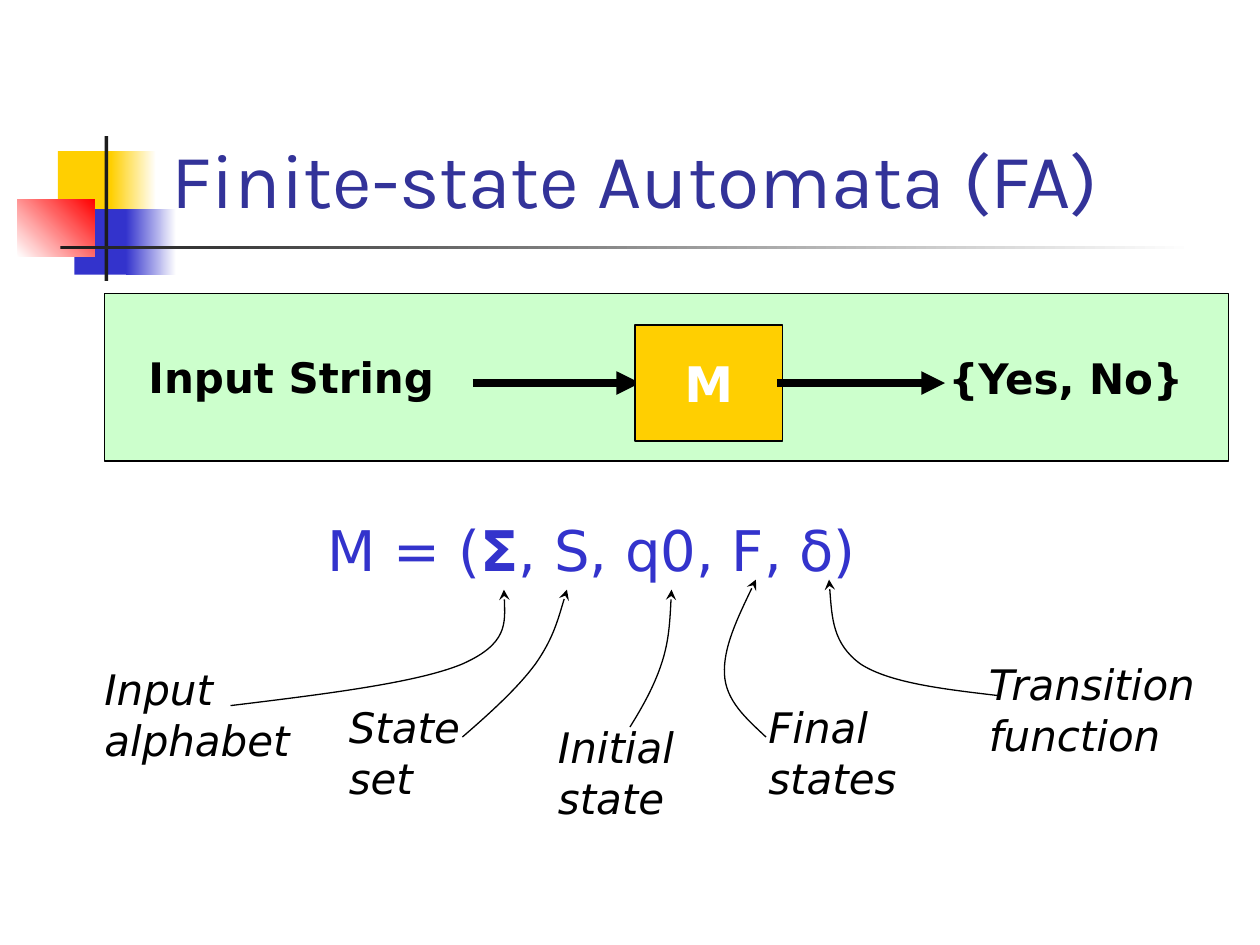
import pptx
import pptx.dml.color
import pptx.enum.shapes
import pptx.enum.text
import pptx.oxml
import pptx.oxml.ns
import pptx.util
from lxml import etree

PX = 9144  # EMU per px, 100 px to the inch
COLORS = {
    "yellow": "FFCF01", "blue": "3333CC", "red": "FF0000", "white": "FFFFFF",
    "dark": "1C1C1C", "title": "333399", "green": "CCFFCC", "black": "000000",
}
ANCHOR = pptx.enum.text.MSO_ANCHOR
ALIGN = pptx.enum.text.PP_ALIGN
AUTO = pptx.enum.text.MSO_AUTO_SIZE
qn = pptx.oxml.ns.qn


def px(*values):
    return [pptx.util.Emu(v * PX) for v in values]


def rgb(name):
    return pptx.dml.color.RGBColor.from_string(COLORS[name])


class Deck:
    """Holds the style, the current slide and the shapes being added to."""

    font = "DejaVu Sans"
    title_font = "Karla"

    def __init__(self, width, height):
        self.prs = pptx.Presentation()
        self.prs.slide_width, self.prs.slide_height = px(width, height)
        self.slide = self.prs.slides.add_slide(self.prs.slide_layouts[5])
        self.shapes = self.slide.shapes

    def run(self, p, text, size, color, bold=False, italic=False, font=None):
        r = p.add_run()
        r.text = text
        r.font.name = font or self.font
        r.font.size = pptx.util.Pt(size)
        r.font.bold, r.font.italic = bold, italic
        r.font.color.rgb = rgb(color)

    def title(self, box, text):
        sp = self.slide.shapes.title
        sp.left, sp.top, sp.width, sp.height = px(*box)
        tf = sp.text_frame
        tf.auto_size = AUTO.NONE
        tf.vertical_anchor = ANCHOR.BOTTOM
        p = tf.paragraphs[0]
        p.alignment = ALIGN.LEFT
        self.run(p, text, 44, "title", font=self.title_font)

    def rect(self, box, fill, fade=None, angle=0, outline=False):
        sp = self.shapes.add_shape(pptx.enum.shapes.MSO_SHAPE.RECTANGLE, *px(*box))
        sp.shadow.inherit = False
        if fade:
            sp.fill.gradient()
            sp.fill.gradient_angle = angle
            for stop, name in zip(sp.fill.gradient_stops, (fill, fade)):
                stop.color.rgb = rgb(name)
        else:
            sp.fill.solid()
            sp.fill.fore_color.rgb = rgb(fill)
        if outline:
            self.stroke(sp, 0.75)
        else:
            sp.line.fill.background()
        return sp

    def text(self, box, runs, size, color="black", wrap=False, spacing=None, italic=False):
        sp = self.shapes.add_textbox(*px(*box))
        tf = sp.text_frame
        tf.word_wrap = wrap
        tf.auto_size = AUTO.SHAPE_TO_FIT_TEXT
        p = tf.paragraphs[0]
        if spacing:
            p.line_spacing = spacing
        for text, bold in runs:
            self.run(p, text, size, color, bold, italic)

    def stroke(self, sp, width, arrow=None):
        sp.line.color.rgb = rgb("black")
        sp.line.width = pptx.util.Pt(width)
        if arrow:
            ln = sp.element.spPr.find(qn("a:ln"))
            etree.SubElement(ln, qn("a:tailEnd"), type=arrow)

    def arrow(self, x1, x2, y):
        line = self.shapes.add_connector(
            pptx.enum.shapes.MSO_CONNECTOR.STRAIGHT, *px(x1, y, x2, y))
        self.stroke(line, 4.5, "triangle")
        etree.SubElement(line.element.spPr, qn("a:effectLst"))

    def curve(self, start, *points):
        """Draw Bezier segments; every three points form one segment."""
        builder = self.shapes.build_freeform(*start, scale=PX)
        builder.add_line_segments(points, close=False)
        sp = builder.convert_to_shape()
        path = sp.element.find(".//" + qn("a:path"))
        lines = path.findall(qn("a:lnTo"))
        for i in range(0, len(lines), 3):
            bezier = etree.SubElement(path, qn("a:cubicBezTo"))
            for line in lines[i:i + 3]:
                bezier.append(line[0])
                path.remove(line)
        sp.fill.background()
        sp.shadow.inherit = False
        self.stroke(sp, 0.75, "stealth")


def main():
    d = Deck(1000, 750)

    # Corner ornament and rule
    d.rect((46, 120, 48, 52), "yellow")
    d.rect((88, 120, 36, 52), "yellow", "white")
    d.rect((59, 166, 46, 52), "blue")
    d.rect((100, 166, 40, 52), "blue", "white")
    d.rect((14, 158, 61, 46), "white", "red", angle=45)
    d.rect((83, 108, 3, 115), "dark")
    d.rect((48, 195, 900, 3), "dark", "white")

    d.title((126, 23, 852, 160), "Finite-state Automata (FA)")

    # Machine diagram, grouped
    d.shapes = d.slide.shapes.add_group_shape().shapes
    d.rect((83, 233, 892, 133), "green", outline=True)
    d.text((108, 274, 249, 50), [("Input String", True)], 24)
    d.arrow(375, 508, 304)
    machine = d.rect((504, 258, 117, 92), "yellow", outline=True)
    tf = machine.text_frame
    tf.word_wrap = False
    tf.vertical_anchor = ANCHOR.MIDDLE
    tf.paragraphs[0].alignment = ALIGN.CENTER
    d.run(tf.paragraphs[0], "M", 28, "white", bold=True)
    d.arrow(617, 750, 304)
    d.text((743, 275, 209, 50), [("{Yes, No}", True)], 24)
    d.shapes = d.slide.shapes

    # Formal definition
    d.text((250, 410, 453, 58),
           [("M = (", False), ("Σ", True), (", S, q0, F, δ)", False)],
           32, "blue", spacing=0.9)

    # Labels of the five components
    for label, x, y, width in [
        ("Input alphabet", 73, 522, 168),
        ("State set", 267, 552, 117),
        ("Initial state", 433, 568, 117),
        ("Final states", 600, 552, 133),
        ("Transition function", 775, 518, 192),
    ]:
        d.text((x, y, width, 90), [(label, False)], 24, wrap=True, italic=True)

    # Curved pointers from the labels to the symbols
    for points in [
        [(183, 560), (257, 551), (331, 542), (367, 527), (403, 511), (401, 490), (400, 468)],
        [(367, 585), (389, 566), (411, 546), (425, 527), (439, 507), (444, 488), (450, 468)],
        [(500, 577), (510, 561), (519, 545), (525, 527), (531, 509), (532, 489), (533, 468)],
        [(608, 585), (592, 570), (576, 556), (575, 535), (574, 514), (587, 487), (600, 460)],
        [(792, 552), (749, 547), (706, 542), (683, 527), (661, 511), (660, 486), (658, 460)],
    ]:
        d.curve(*points)

    d.prs.save("out.pptx")


if __name__ == "__main__":
    main()
